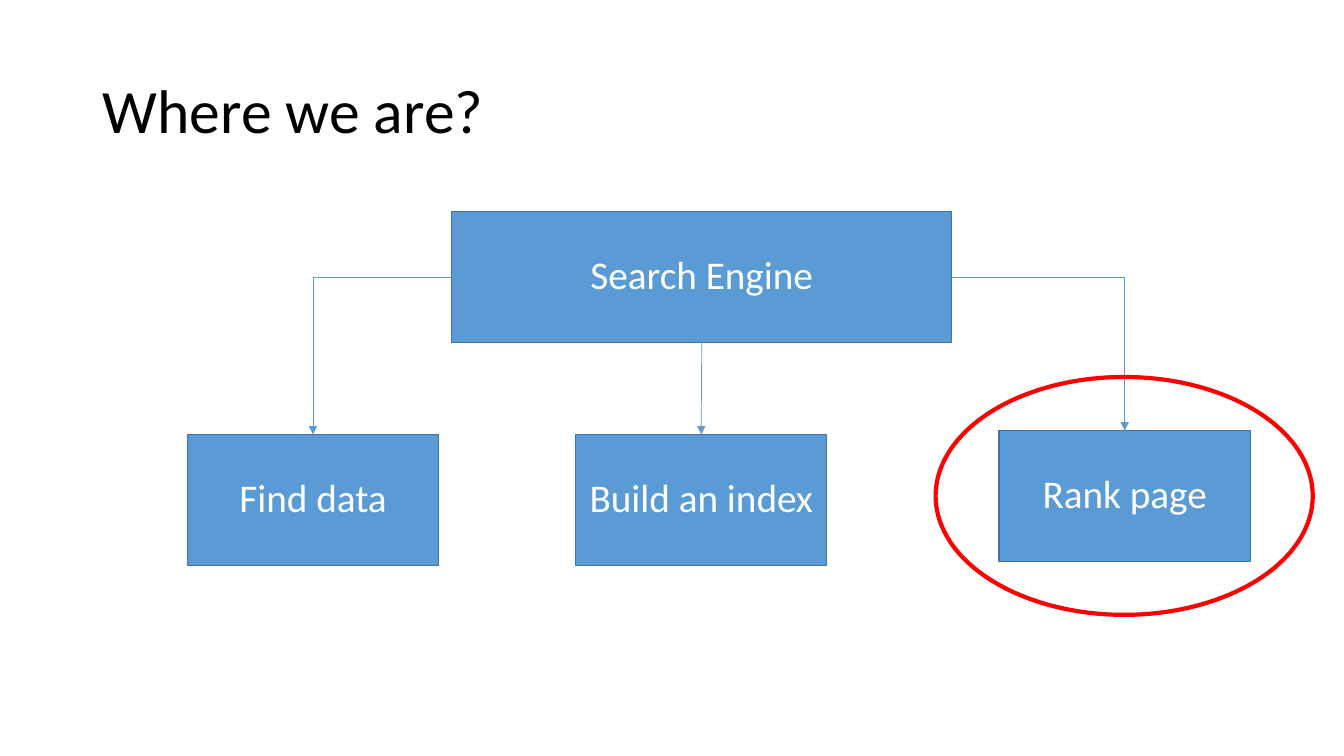
import pptx
import pptx.util
import pptx.dml.color
import pptx.enum.shapes
import pptx.enum.text
import pptx.oxml.ns
from lxml import etree
from pptx.util import Inches

SHAPE = pptx.enum.shapes.MSO_SHAPE
CONNECTOR = pptx.enum.shapes.MSO_CONNECTOR
ALIGN = pptx.enum.text.PP_ALIGN
BLUE, DARK_BLUE, RED = "5B9BD5", "43739E", "FF0000"
TOP, LEFT, BOTTOM, RIGHT = range(4)


def rgb(value):
    return pptx.dml.color.RGBColor.from_string(value)


def set_text(shape, text, size, color, align=ALIGN.LEFT, before=0):
    tf = shape.text_frame
    tf.word_wrap = True
    tf.vertical_anchor = pptx.enum.text.MSO_ANCHOR.MIDDLE
    p = tf.paragraphs[0]
    p.alignment = align
    p.line_spacing = 0.9
    p.space_before = pptx.util.Pt(before)
    r = p.add_run()
    r.text = text
    r.font.name = "Calibri"
    r.font.size = pptx.util.Pt(size)
    r.font.color.rgb = rgb(color)


def add_outlined(s, kind, left, top, width, height, line, weight):
    sp = s.shapes.add_shape(kind, Inches(left), Inches(top),
                            Inches(width), Inches(height))
    sp.shadow.inherit = False
    sp.line.color.rgb = rgb(line)
    sp.line.width = pptx.util.Pt(weight)
    return sp


def add_box(s, text, left, top, width=2.49):
    sp = add_outlined(s, SHAPE.RECTANGLE, left, top, width, 1.3, DARK_BLUE, 1)
    sp.fill.solid()
    sp.fill.fore_color.rgb = rgb(BLUE)
    set_text(sp, text, 28, "FFFFFF", align=ALIGN.CENTER, before=10)
    return sp


def add_ring(s, left, top, width, height):
    sp = add_outlined(s, SHAPE.OVAL, left, top, width, height, RED, 3)
    sp.fill.background()


def add_arrow(s, parent, side, child):
    """Join a side of parent to the top of child, with one bend if sideways."""
    straight = side == BOTTOM
    kind = CONNECTOR.STRAIGHT if straight else CONNECTOR.ELBOW
    c = s.shapes.add_connector(kind, 0, 0, 0, 0)
    c.begin_connect(parent, side)
    c.end_connect(child, TOP)
    c.line.color.rgb = rgb(BLUE)
    c.line.width = pptx.util.Pt(0.5)
    qn = pptx.oxml.ns.qn
    props = c._element.spPr
    if not straight:
        props.find(qn("a:prstGeom")).set("prst", "bentConnector2")
    etree.SubElement(props.find(qn("a:ln")), qn("a:tailEnd"), type="triangle")
    etree.SubElement(props, qn("a:effectLst"))


def main():
    prs = pptx.Presentation()
    prs.slide_width, prs.slide_height = Inches(13.33), Inches(7.5)
    s = prs.slides.add_slide(prs.slide_layouts[5])

    title = s.shapes.title
    title.left, title.top = Inches(0.92), Inches(0.4)
    title.width, title.height = Inches(11.5), Inches(1.45)
    set_text(title, "Where we are?", 44, "000000")

    rank = add_box(s, "Rank page", 9.91, 4.27)
    engine = add_box(s, "Search Engine", 4.48, 2.1, width=4.96)
    find = add_box(s, "Find data", 1.86, 4.31)
    index = add_box(s, "Build an index", 5.71, 4.31)

    for side, child in ((BOTTOM, index), (LEFT, find), (RIGHT, rank)):
        add_arrow(s, engine, side, child)
    add_ring(s, 9.28, 3.74, 3.74, 2.36)

    prs.save("out.pptx")


if __name__ == "__main__":
    main()
